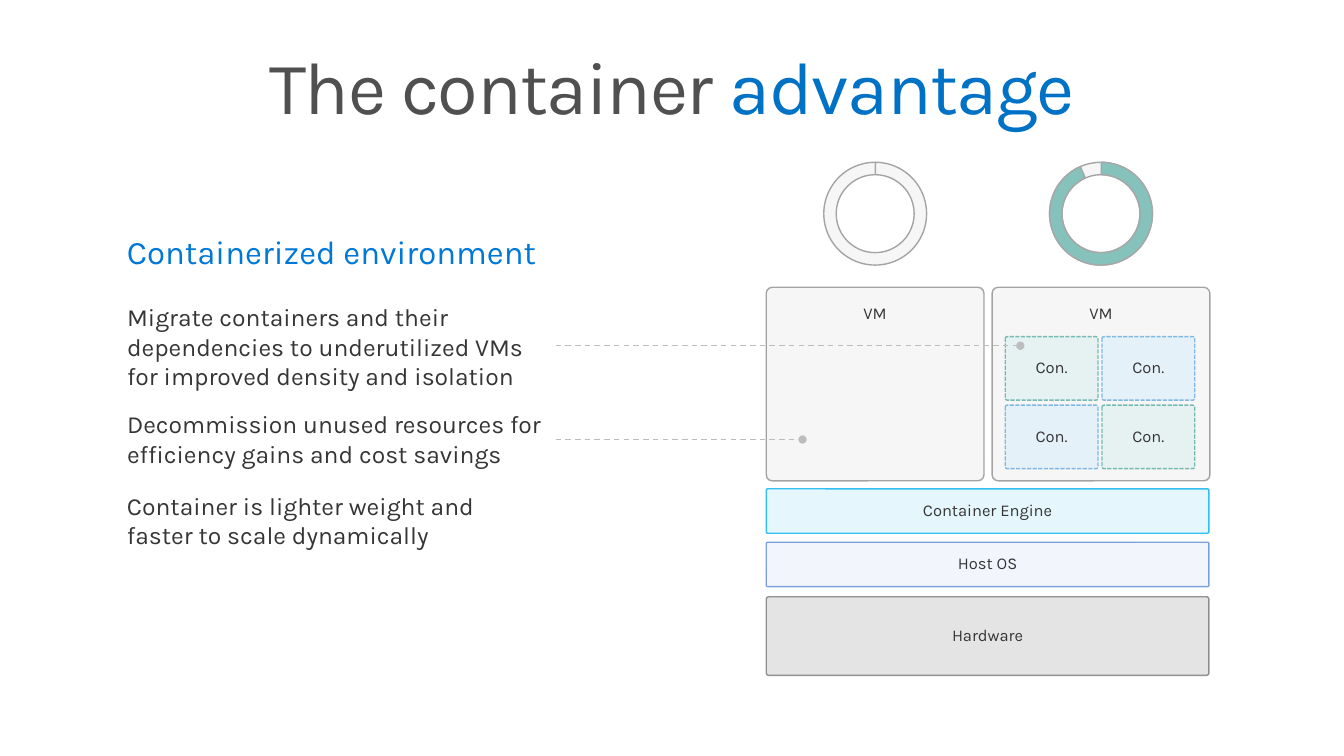
import pptx
import pptx.util
import pptx.dml.color
import pptx.enum.dml
import pptx.enum.shapes
import pptx.enum.text
import pptx.oxml
import pptx.oxml.ns
from dataclasses import dataclass

PX = 9144  # EMU per px, 100 px to the inch
SHAPES = pptx.enum.shapes.MSO_SHAPE
DASHES = pptx.enum.dml.MSO_LINE
ALIGN = pptx.enum.text.PP_ALIGN
ANCHOR = pptx.enum.text.MSO_ANCHOR


@dataclass(frozen=True)
class Theme:
    font: str = "Karla"
    title_size: float = 52.9
    heading_size: float = 23.5
    body_size: float = 17.6
    label_size: float = 11.8
    gray: str = "505050"
    ink: str = "353535"
    accent: str = "0072C6"
    heading: str = "0078D7"
    host: str = "004BBC"
    engine: str = "00B0F0"
    teal: str = "008272"
    pale_teal: str = "E5F2F1"
    sky: str = "7FB8E2"
    pale_sky: str = "E5F1F9"
    arc: str = "84C2BB"
    arc_line: str = "A7A7A7"
    callout: str = "BDBDBD"


T = Theme()


def box(*lengths):
    return [pptx.util.Emu(v * PX) for v in lengths]


def rgb(value):
    return pptx.dml.color.RGBColor.from_string(value)


def add_xml(parent, tag, **attrs):
    child = pptx.oxml.parse_xml(f"<a:{tag} {pptx.oxml.ns.nsdecls('a')}/>")
    for name, value in attrs.items():
        child.set(name, value)
    parent.append(child)


def paint(fill, color, percent=100):
    """Solid colour at the given opacity."""
    fill.solid()
    fill.fore_color.rgb = rgb(color)
    if percent < 100:
        clr = fill._xPr.find(".//" + pptx.oxml.ns.qn("a:srgbClr"))
        add_xml(clr, "alpha", val=str(percent * 1000))


def style_paragraph(p, size, color, align=ALIGN.LEFT, spacing=None):
    p.alignment = align
    p.line_spacing = spacing
    p.font.name = T.font
    p.font.size = pptx.util.Pt(size)
    p.font.color.rgb = rgb(color)


def set_frame(tf, anchor, side=16, top=16):
    tf.word_wrap = True
    tf.vertical_anchor = anchor
    tf.margin_left = tf.margin_right = pptx.util.Emu(side * PX)
    tf.margin_top = tf.margin_bottom = pptx.util.Emu(top * PX)


def add_shape(s, kind, at, adj, fill, line, dash=None):
    """fill and line are (colour, opacity percent) pairs."""
    sp = s.shapes.add_shape(kind, *box(*at))
    sp.shadow.inherit = False
    for i, value in enumerate(adj):
        sp.adjustments[i] = value
    paint(sp.fill, *fill)
    paint(sp.line.fill, *line)
    sp.line.width = pptx.util.Pt(1)
    if dash:
        sp.line.dash_style = dash
    return sp


def add_block(s, label, at, fill, line, anchor=ANCHOR.MIDDLE, dash=None):
    sp = add_shape(s, SHAPES.ROUNDED_RECTANGLE, at, [0.031], fill, line, dash)
    set_frame(sp.text_frame, anchor, side=20)
    p = sp.text_frame.paragraphs[0]
    p.text = label
    style_paragraph(p, T.label_size, T.ink, ALIGN.CENTER, 0.9)


def add_gauge(s, left, end_angle):
    """Ring with an arc running clockwise from the top to end_angle degrees."""
    at = (left, 161, 102, 102)
    add_shape(s, SHAPES.DONUT, at, [0.121], (T.gray, 5), (T.gray, 50))
    add_shape(s, SHAPES.BLOCK_ARC, at, [270.3 * 0.6, end_angle * 0.6, 0.12],
              (T.arc,), (T.arc_line,))


def add_text(s, text, at, size, color, anchor=ANCHOR.MIDDLE):
    tf = s.shapes.add_textbox(*box(*at)).text_frame
    set_frame(tf, anchor)
    p = tf.paragraphs[0]
    p.text = text
    style_paragraph(p, size, color)


def add_title(s):
    tf = s.shapes.add_textbox(*box(29, 40, 1275, 98)).text_frame
    set_frame(tf, ANCHOR.TOP, top=10)
    p = tf.paragraphs[0]
    style_paragraph(p, T.title_size, T.gray, ALIGN.CENTER, 0.9)
    for text, color in (("The container ", T.gray), ("advantage", T.accent)):
        r = p.add_run()
        r.text = text
        r.font.color.rgb = rgb(color)
        r._r.get_or_add_rPr().set("spc", "-100")


def add_callout(s, end, y):
    line = s.shapes.add_connector(
        pptx.enum.shapes.MSO_CONNECTOR.STRAIGHT, *box(551, y, end, y))
    line.line.color.rgb = rgb(T.callout)
    line.line.width = pptx.util.Pt(1)
    line.line.dash_style = DASHES.DASH
    add_xml(line.line._get_or_add_ln(), "tailEnd", type="oval")
    add_xml(line._element.spPr, "effectLst")


def main():
    prs = pptx.Presentation()
    prs.slide_width, prs.slide_height = box(1333, 750)
    s = prs.slides.add_slide(prs.slide_layouts[6])
    add_title(s)

    # Stack below the machines
    for label, top, height, color, fill, line in (
            ("Hardware", 592, 78, T.gray, 15, 60),
            ("Host OS", 538, 44, T.host, 5, 50),
            ("Container Engine", 485, 44, T.engine, 10, 80)):
        add_block(s, label, (760, top, 439, height), (color, fill), (color, line))

    # Virtual machines with their gauges
    for left, end_angle in ((760, 270.35), (984, 246.35)):
        add_block(s, "VM", (left, 285, 216, 192), (T.gray, 5), (T.gray, 50),
                  ANCHOR.TOP)
        add_gauge(s, left + 57, end_angle)

    # Containers in a two-by-two checkerboard
    for row in range(2):
        for col in range(2):
            fill, line = (((T.pale_teal,), (T.teal, 50)) if row == col
                          else ((T.pale_sky,), (T.sky,)))
            add_block(s, "Con.", (997 + 96 * col, 334 + 68 * row, 92, 63),
                      fill, line, dash=DASHES.SQUARE_DOT)

    # Benefits and callouts
    add_text(s, "Containerized environment", (110, 214, 574, 72),
             T.heading_size, T.heading, ANCHOR.TOP)
    for text, top, width, height in (
            ("Migrate containers and their dependencies to underutilized VMs "
             "for improved density and isolation", 282, 428, 123),
            ("Decommission unused resources for efficiency gains and cost savings",
             389, 469, 92),
            ("Container is lighter weight and faster to scale dynamically",
             470, 413, 92)):
        add_text(s, text, (110, top, width, height), T.body_size, T.ink)
    add_callout(s, 1012, 343)
    add_callout(s, 796, 436)

    prs.save("out.pptx")


if __name__ == "__main__":
    main()
